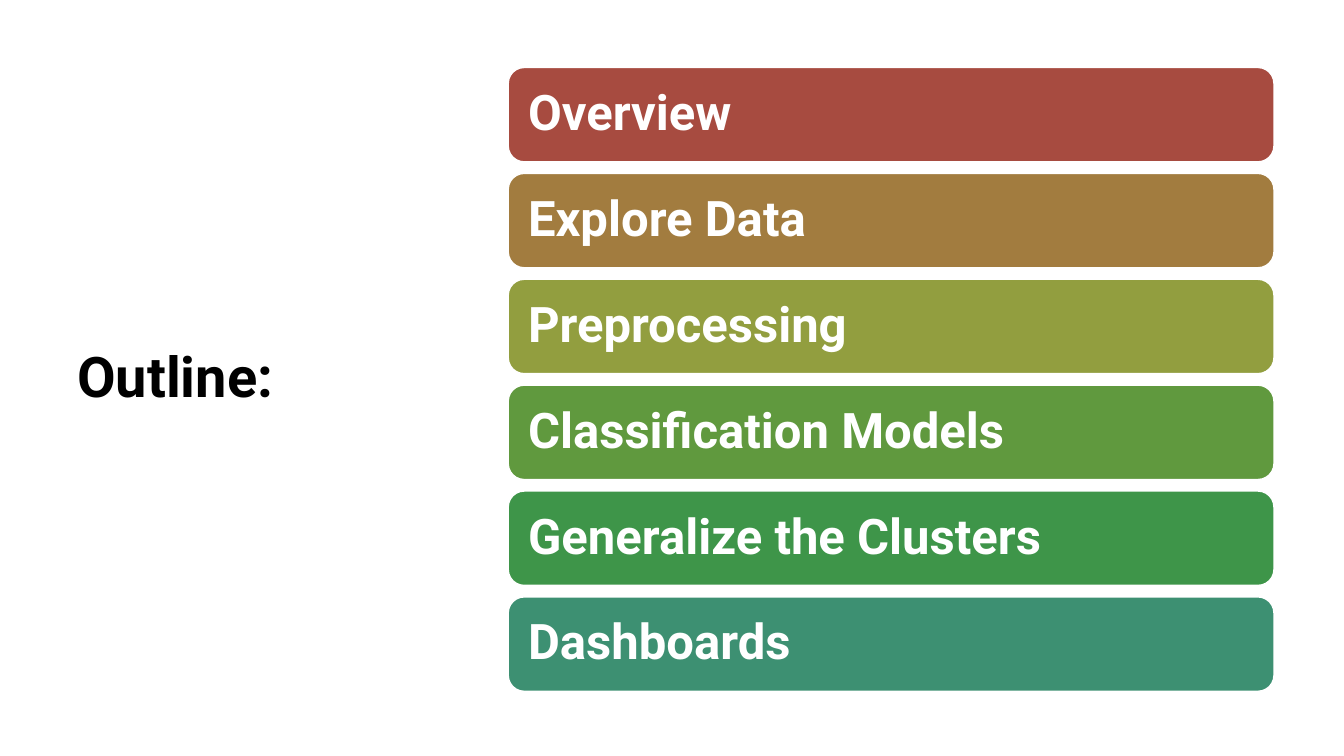
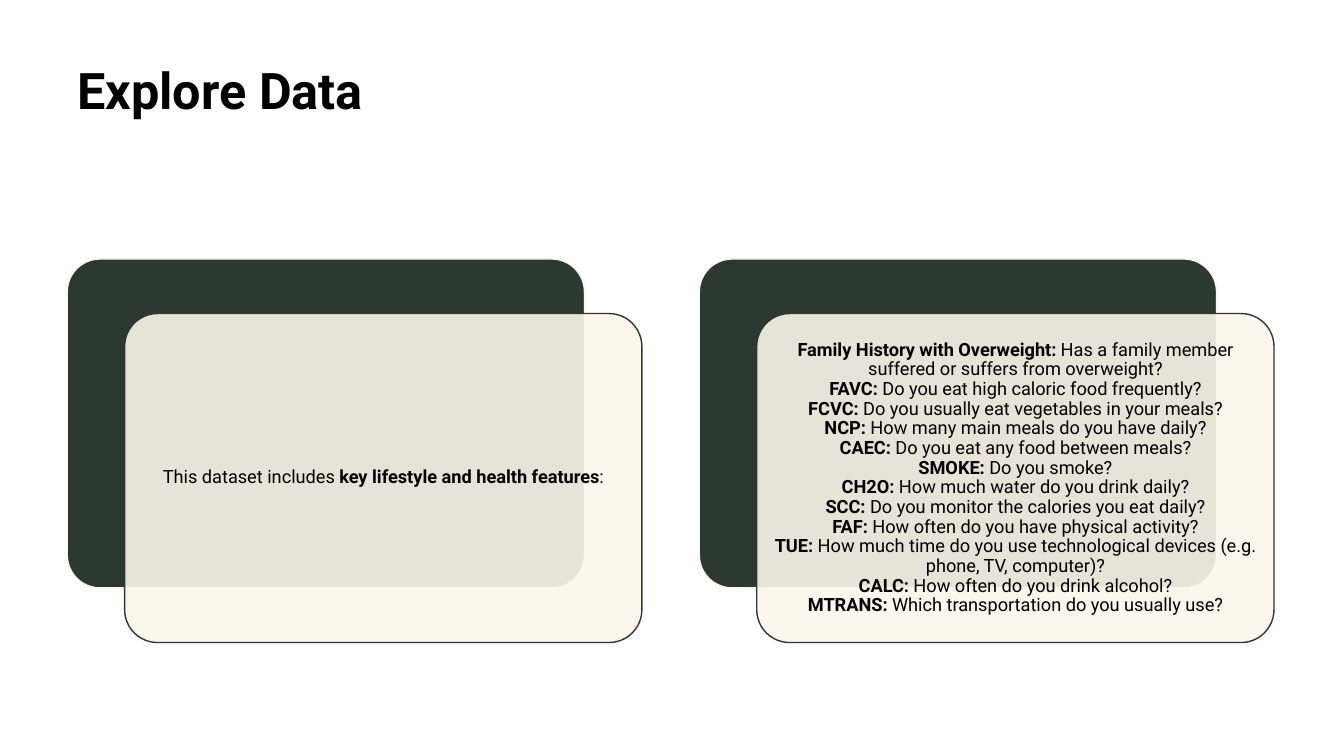
from lxml import etree
from pptx import Presentation
from pptx import util as u
from pptx.dml import color
from pptx.enum import shapes, text
from pptx.oxml import ns

FONT = "Roboto"
BLACK, WHITE, DARK, CREAM = "000000", "FFFFFF", "2C3932", "FDF6EA"
MARGIN, TOP, WIDTH = 48, 43.2, 862

OUTLINE = [
    ("Overview", "A74B40"),
    ("Explore Data", "A27C3F"),
    ("Preprocessing", "929E3F"),
    ("Classification Models", "60993E"),
    ("Generalize the Clusters", "3E9549"),
    ("Dashboards", "3D9072"),
]
INTRO = [[("This dataset includes ", False), ("key lifestyle and health features", True), (":", False)]]
FEATURES = [
    ("Family History with Overweight:", "Has a family member suffered or suffers from overweight?"),
    ("FAVC:", "Do you eat high caloric food frequently?"),
    ("FCVC:", "Do you usually eat vegetables in your meals?"),
    ("NCP:", "How many main meals do you have daily?"),
    ("CAEC:", "Do you eat any food between meals?"),
    ("SMOKE:", "Do you smoke?"),
    ("CH2O:", "How much water do you drink daily?"),
    ("SCC:", "Do you monitor the calories you eat daily?"),
    ("FAF:", "How often do you have physical activity?"),
    ("TUE:", "How much time do you use technological devices (e.g. phone, TV, computer)?"),
    ("CALC:", "How often do you drink alcohol?"),
    ("MTRANS:", "Which transportation do you usually use?"),
]


def rgb(value):
    """Turn a hex string into a colour."""
    return color.RGBColor.from_string(value)


def write(tf, lines, size, ink, align, anchor, inset):
    """Fill a text frame with lines made of (text, bold) runs."""
    tf.word_wrap = True
    tf.auto_size = text.MSO_AUTO_SIZE.NONE
    tf.vertical_anchor = anchor
    tf.margin_left = tf.margin_right = u.Pt(inset)
    tf.margin_top = tf.margin_bottom = u.Pt(min(inset, 3.6))
    for i, line in enumerate(lines):
        p = tf.add_paragraph() if i else tf.paragraphs[0]
        p.alignment = align
        p.line_spacing = 0.9
        p.space_before = p.space_after = u.Pt(0)
        p.font.name, p.font.size = FONT, u.Pt(size)
        p.font.color.rgb = rgb(ink)
        for words, bold in line:
            r = p.add_run()
            r.text, r.font.bold = words, bold


def add_titled_slide(prs, title, box, size, anchor):
    """Add a slide with its title placed in the given box."""
    s = prs.slides.add_slide(prs.slide_layouts[5])
    sp = s.shapes.title
    sp.left, sp.top, sp.width, sp.height = map(u.Pt, box)
    write(sp.text_frame, [[(title, True)]], size, BLACK, text.PP_ALIGN.LEFT, anchor, 7.2)
    return s


def add_panel(s, box, fill, line, radius=0.17, alpha=None):
    """Add a rounded rectangle, see-through if alpha (percent) is given."""
    sp = s.shapes.add_shape(shapes.MSO_SHAPE.ROUNDED_RECTANGLE, *map(u.Pt, box))
    sp.shadow.inherit = False
    sp.adjustments[0] = radius
    sp.fill.solid()
    sp.fill.fore_color.rgb = rgb(fill)
    if alpha:
        clr = sp.element.spPr.find(ns.qn("a:solidFill")).find(ns.qn("a:srgbClr"))
        etree.SubElement(clr, ns.qn("a:alpha")).set("val", str(alpha * 1000))
    sp.line.color.rgb = rgb(line)
    sp.line.width = u.Pt(1)
    return sp


def add_bars(s, box, items, gap=8.2):
    """Stack one labelled bar per item, evenly spaced in the box."""
    left, top, width, height = box
    bar = (height - gap * (len(items) - 1)) / len(items)
    for i, (label, fill) in enumerate(items):
        sp = add_panel(s, (left, top + i * (bar + gap), width, bar), fill, WHITE)
        write(sp.text_frame, [[(label, True)]], 35, WHITE,
              text.PP_ALIGN.LEFT, text.MSO_ANCHOR.MIDDLE, 10.8)


def add_card(s, box, lines, dx=41, dy=39):
    """Draw a dark panel with a cream text panel shifted over it."""
    left, top, width, height = box
    w, h = width - dx, height - dy
    add_panel(s, (left, top, w, h), DARK, CREAM, 0.1)
    sp = add_panel(s, (left + dx, top + dy, w, h), CREAM, DARK, 0.1, 90)
    write(sp.text_frame, lines, 13, BLACK, text.PP_ALIGN.CENTER, text.MSO_ANCHOR.MIDDLE, 3.6)


def add_cards(s, box, cards, gap=41):
    """Set cards side by side across the box."""
    left, top, width, height = box
    w = (width - gap * (len(cards) - 1)) / len(cards)
    for i, lines in enumerate(cards):
        add_card(s, (left + i * (w + gap), top, w, height), lines)


def outline_slide(prs):
    """Build the outline with its coloured bars."""
    s = add_titled_slide(prs, "Outline:", (MARGIN, TOP, 275, 456), 40, text.MSO_ANCHOR.MIDDLE)
    add_bars(s, (363, 48.2, 547, 445.6), OUTLINE)


def explore_slide(prs):
    """Build the data overview with its two cards."""
    s = add_titled_slide(prs, "Explore Data", (MARGIN, TOP, WIDTH, 89.3), 36, text.MSO_ANCHOR.TOP)
    features = [[(name, True), (" " + question, False)] for name, question in FEATURES]
    add_cards(s, (MARGIN, 185, WIDTH, 274), [INTRO, features])


def main():
    """Build and save the presentation."""
    prs = Presentation()
    prs.slide_width, prs.slide_height = u.Pt(960), u.Pt(540)
    outline_slide(prs)
    explore_slide(prs)
    prs.save("out.pptx")


if __name__ == "__main__":
    main()
